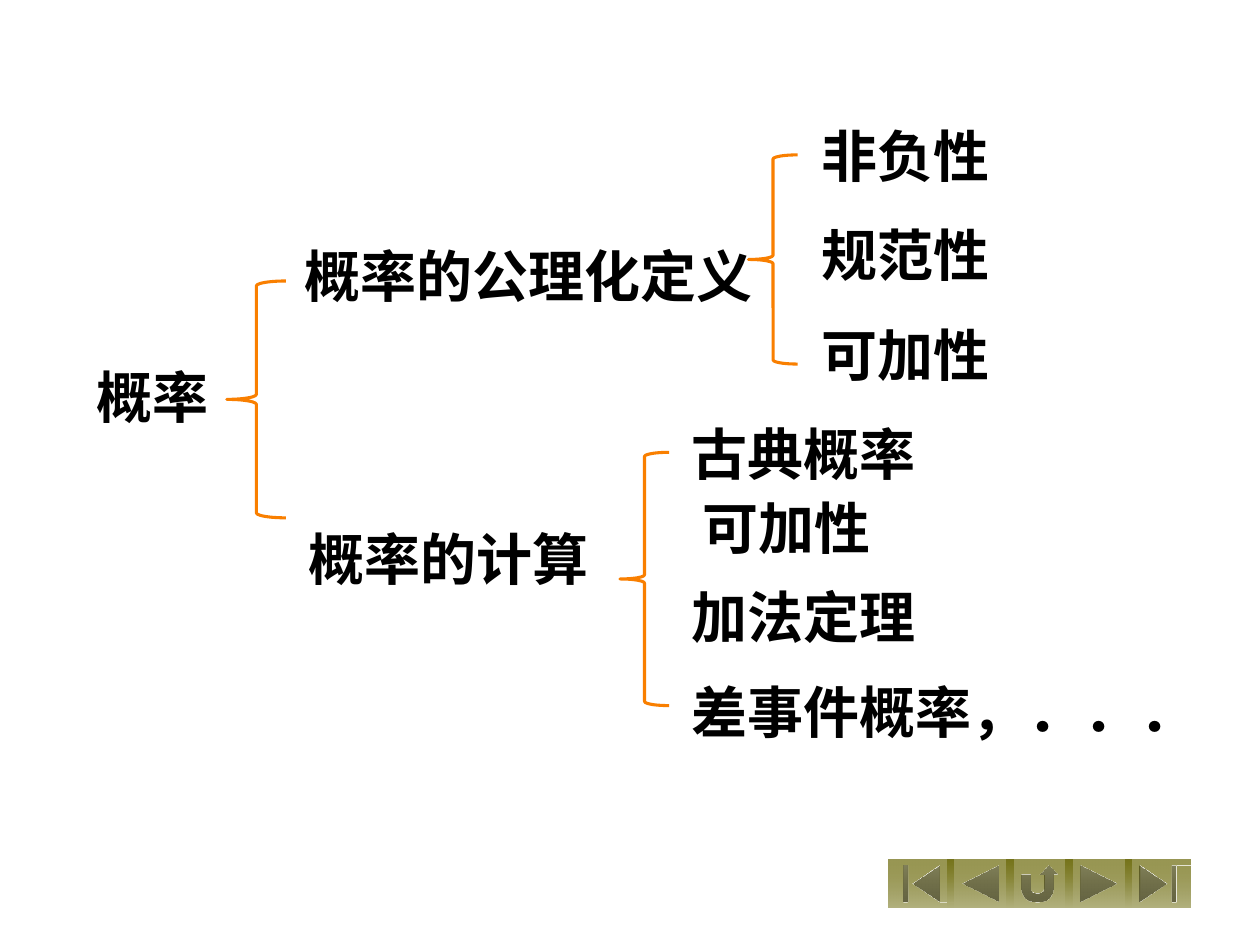
from pptx import Presentation
from pptx.dml.color import RGBColor
from pptx.enum.shapes import MSO_SHAPE as Shape
from pptx.enum.text import MSO_ANCHOR as Anchor
from pptx.oxml.ns import qn
from pptx.util import Inches, Pt
from lxml.etree import SubElement

THEME = {
    "font": {"name": "Noto Sans CJK SC", "size": Pt(32), "bold": True},
    "text": RGBColor.from_string("000000"),
    "brace": RGBColor.from_string("F97F00"),
    "brace_width": Pt(1.75),
    "button": [RGBColor.from_string("666400"), RGBColor.from_string("B1B07D")],
    "button_opacity": "67000",
}

deck = Presentation()
deck.slide_width, deck.slide_height = Inches(10), Inches(7.5)
page = deck.slides.add_slide(deck.slide_layouts[6])

# Navigation buttons, evenly spaced along the bottom
navigation = page.shapes.add_group_shape()
buttons = [
    Shape.ACTION_BUTTON_BEGINNING,
    Shape.ACTION_BUTTON_BACK_OR_PREVIOUS,
    Shape.ACTION_BUTTON_RETURN,
    Shape.ACTION_BUTTON_FORWARD_OR_NEXT,
    Shape.ACTION_BUTTON_END,
]
for index, kind in enumerate(buttons):
    button = navigation.shapes.add_shape(
        kind, Inches(7.05 + 0.47 * index), Inches(6.82), Inches(0.52), Inches(0.38))
    button.shadow.inherit = False
    button.line.fill.background()
    button.fill.gradient()
    button.fill.gradient_angle = 270
    for stop, color, position in zip(button.fill.gradient_stops, THEME["button"], (0, 1)):
        stop.color.rgb = color
        stop.position = position
    first_color = next(button.element.spPr.iter(qn("a:srgbClr")))
    SubElement(first_color, qn("a:alpha"), val=THEME["button_opacity"])

# Braces joining each topic to its branches: left, top, width, height
braces = [(1.8, 2.23, 0.47, 1.88), (4.92, 3.59, 0.39, 2.01), (5.94, 1.23, 0.39, 1.66)]
for bounds in braces:
    brace = page.shapes.add_shape(Shape.LEFT_BRACE, *map(Inches, bounds))
    brace.shadow.inherit = False
    brace.fill.background()
    brace.line.color.rgb = THEME["brace"]
    brace.line.width = THEME["brace_width"]

# Topics: text, left, top, width
topics = [
    ("概率", 0.67, 2.82, 1.64),
    ("概率的公理化定义", 2.32, 1.86, 3.81),
    ("概率的计算", 2.35, 4.11, 2.45),
    ("古典概率", 5.39, 3.28, 2),
    ("可加性", 5.48, 3.86, 1.55),
    ("加法定理", 5.39, 4.57, 2),
    ("差事件概率，．．．", 5.39, 5.32, 4.26),
]
axioms = ["非负性", "规范性", "可加性"]
topics += [(axiom, 6.42, 0.91 + 0.79 * row, 1.55) for row, axiom in enumerate(axioms)]

for text, left, top, width in topics:
    box = page.shapes.add_textbox(Inches(left), Inches(top), Inches(width), Inches(0.64))
    frame = box.text_frame
    frame.word_wrap = False
    frame.vertical_anchor = Anchor.MIDDLE
    frame.margin_top = frame.margin_bottom = 0
    span = frame.paragraphs[0].add_run()
    span.text = text
    for name, value in THEME["font"].items():
        setattr(span.font, name, value)
    span.font.color.rgb = THEME["text"]
    SubElement(span.font._element, qn("a:ea"), typeface=THEME["font"]["name"])

deck.save("out.pptx")
